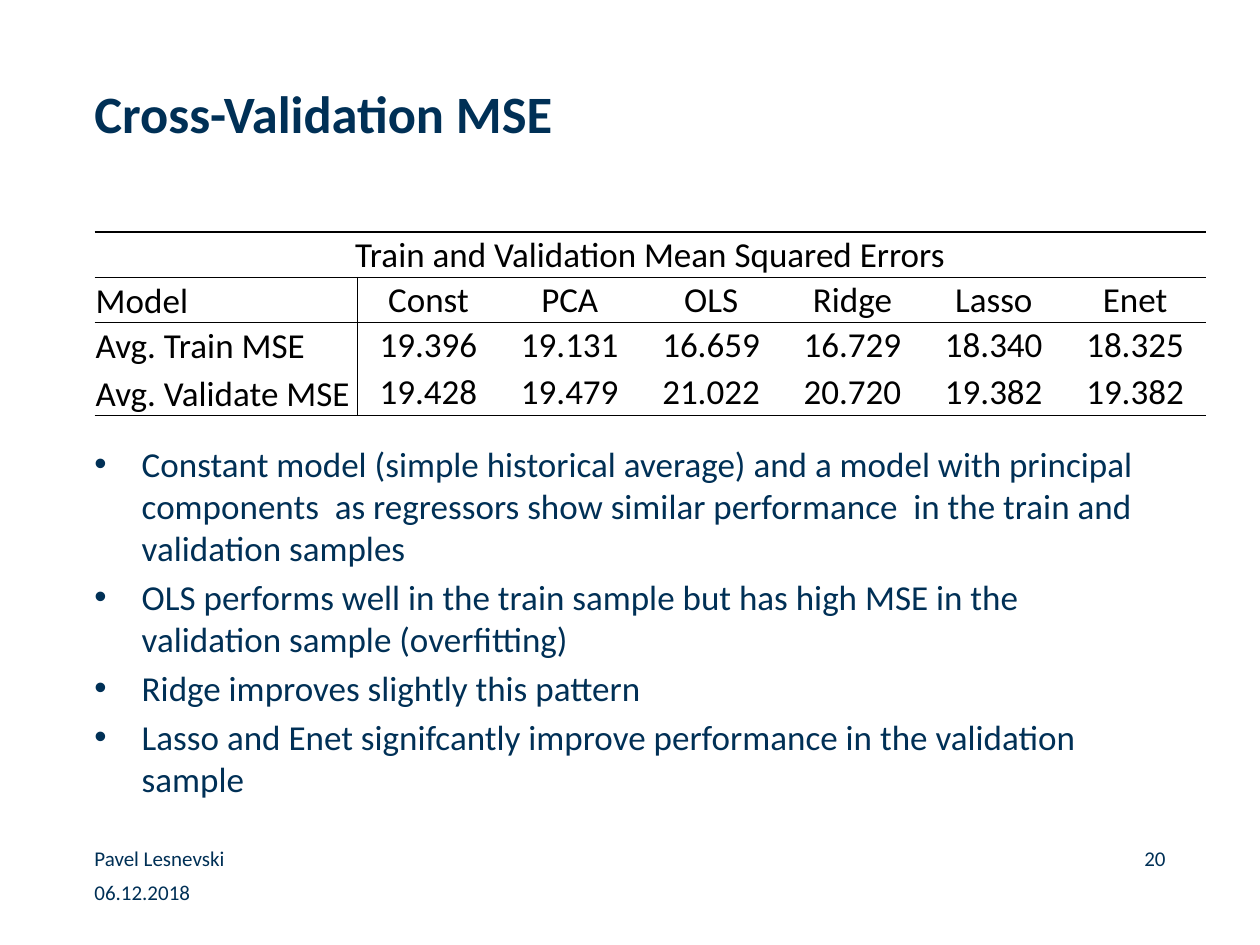
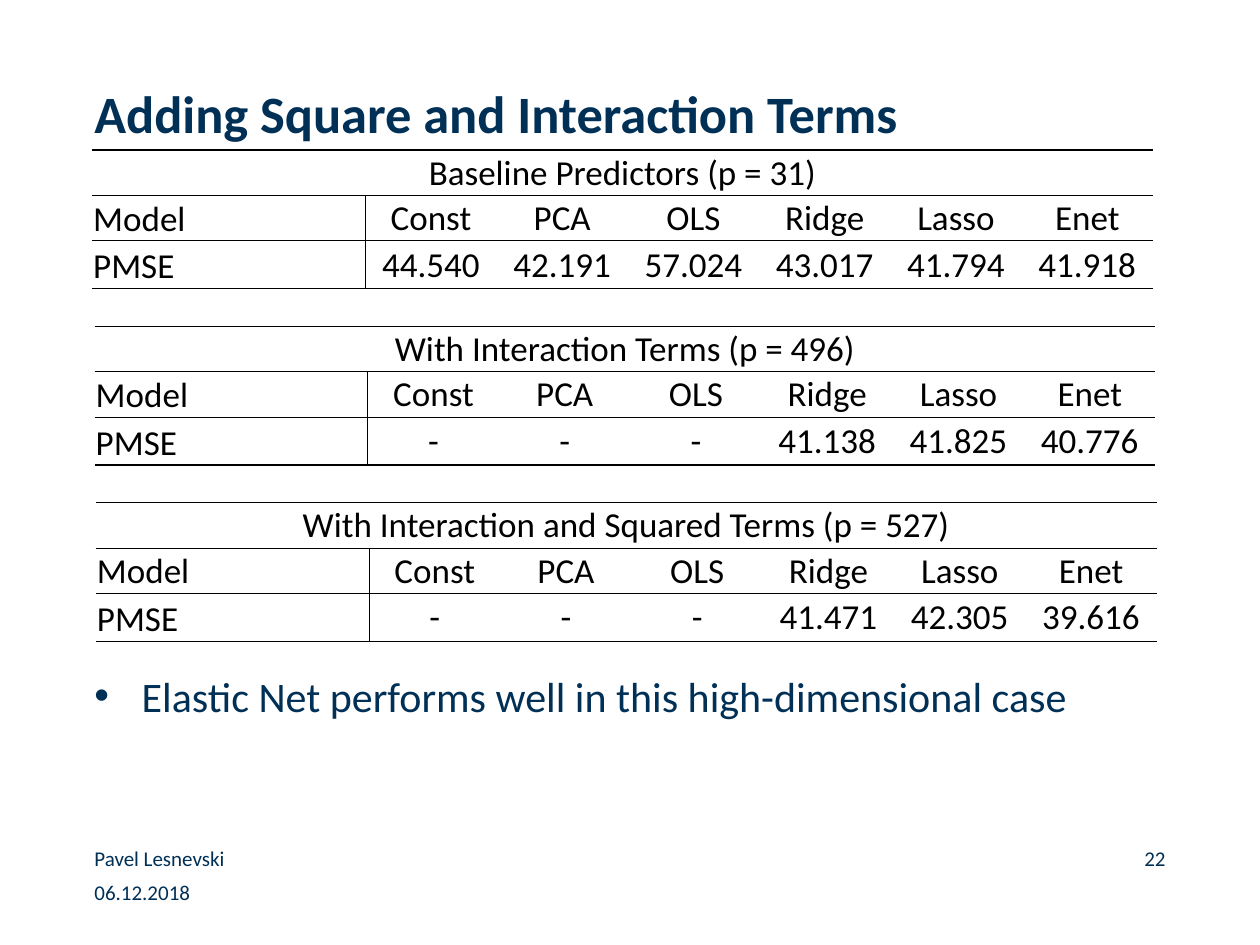
import dataclasses
import typing

import lxml.etree
import pptx
import pptx.dml.color
import pptx.enum.text
import pptx.oxml.ns
import pptx.util

ALIGN = pptx.enum.text.PP_ALIGN
ANCHOR = pptx.enum.text.MSO_ANCHOR
qualified = pptx.oxml.ns.qn


@dataclasses.dataclass(frozen=True)
class Theme:
    font: str = "Calibri"
    navy: str = "003056"
    black: str = "000000"
    title_size: int = 30
    table_size: int = 20
    footer_size: int = 12
    spacer_size: int = 8
    thick: float = 1
    thin: float = 0.5
    no_grid_style: str = "{2D5ABB26-0587-4C30-8999-92F81FD0307C}"


class Box(typing.NamedTuple):
    """Left, top, width and height in grid units."""
    left: float
    top: float
    width: float
    height: float


@dataclasses.dataclass(frozen=True)
class ErrorTable:
    caption: str
    records: dict[str, tuple[str, ...]]
    left: float
    top: float
    label_width: float
    model_width: float
    spacer_height: float = 2.2


@dataclasses.dataclass(frozen=True)
class BulletList:
    items: tuple[str, ...]
    box: Box
    size: int


@dataclasses.dataclass(frozen=True)
class Page:
    title: str
    number: int
    tables: tuple[ErrorTable, ...]
    bullets: BulletList


THEME = Theme()

# The grid: 100 columns by 75 rows of square units
COLUMNS, ROWS = 100, 75
UNIT = pptx.util.Inches(0.1)
MARGIN = 7.5
CONTENT_WIDTH = COLUMNS - 2 * MARGIN
TITLE_BOX = Box(MARGIN, 6.4, CONTENT_WIDTH, 12.5)
AUTHOR_BOX = Box(MARGIN, 67.1, 31.7, 2)
DATE_BOX = Box(MARGIN, 69.8, 23.3, 2)
NUMBER_BOX = Box(COLUMNS - MARGIN - 11.5, 67.1, 11.5, 2)
BULLET_INDENT = 3.75
CELL_INSET = 0.1
ROW_HEIGHT, LAST_ROW_HEIGHT = 3.6, 3.8

AUTHOR, DATE = "Pavel Lesnevski", "06.12.2018"
MODELS = ("Const", "PCA", "OLS", "Ridge", "Lasso", "Enet")

PAGES = (
    Page(
        "Cross-Validation MSE", 20,
        (ErrorTable(
            "Train and Validation Mean Squared Errors",
            {"Avg. Train MSE":
                ("19.396", "19.131", "16.659", "16.729", "18.340", "18.325"),
             "Avg. Validate MSE":
                ("19.428", "19.479", "21.022", "20.720", "19.382", "19.382")},
            MARGIN, 16.2, 20.9, 11.22),),
        BulletList(
            ("Constant model (simple historical average) and a model with principal "
             "components  as regressors show similar performance  in the train and "
             "validation samples",
             "OLS performs well in the train sample but has high MSE in the "
             "validation sample (overfitting)",
             "Ridge improves slightly this pattern",
             "Lasso and Enet signifcantly improve performance in the validation sample"),
            Box(MARGIN, 35.1, CONTENT_WIDTH, 31.2), 20),
    ),
    Page(
        "Adding Square and Interaction Terms", 22,
        (ErrorTable(
            "Baseline Predictors (p = 31)",
            {"PMSE": ("44.540", "42.191", "57.024", "43.017", "41.794", "41.918")},
            7.3, 9.7, 21.7, 10.42),
         ErrorTable(
            "With Interaction Terms (p = 496)",
            {"PMSE": ("-", "-", "-", "41.138", "41.825", "40.776")},
            7.5, 22.1, 21.7, 10.42, 3.8),
         ErrorTable(
            "With Interaction and Squared Terms (p = 527)",
            {"PMSE": ("-", "-", "-", "41.471", "42.305", "39.616")},
            7.6, 37.7, 21.7, 10.42)),
        BulletList(
            ("Elastic Net performs well in this high-dimensional case",),
            Box(MARGIN, 53.2, CONTENT_WIDTH, 7), 24),
    ),
)


def grid(units: float) -> int:
    return round(units * UNIT)


def apply(target: typing.Any, values: dict[str, typing.Any]) -> None:
    for name, value in values.items():
        setattr(target, name, value)


def write(paragraph, text: str, size: int, color: str, bold: bool = False,
          align=ALIGN.LEFT) -> None:
    paragraph.alignment = align
    run = paragraph.add_run()
    run.text = text
    apply(run.font, {"name": THEME.font, "size": pptx.util.Pt(size), "bold": bold})
    run.font.color.rgb = pptx.dml.color.RGBColor.from_string(color)


def add_frame(slide, box: Box):
    frame = slide.shapes.add_textbox(*map(grid, box)).text_frame
    apply(frame, {"word_wrap": True, "vertical_anchor": ANCHOR.TOP,
                  "margin_left": 0, "margin_right": 0,
                  "margin_top": 0, "margin_bottom": 0})
    return frame


def add_label(slide, box: Box, text: str, size: int, bold: bool = False,
              align=ALIGN.LEFT) -> None:
    write(add_frame(slide, box).paragraphs[0], text, size, THEME.navy, bold, align)


def add_bullets(slide, bullets: BulletList) -> None:
    frame = add_frame(slide, bullets.box)
    for index, item in enumerate(bullets.items):
        paragraph = frame.add_paragraph() if index else frame.paragraphs[0]
        write(paragraph, item, bullets.size, THEME.navy)
        paragraph.space_before = pptx.util.Pt(bullets.size * 0.2)
        properties = paragraph._p.get_or_add_pPr()
        properties.set("marL", str(grid(BULLET_INDENT)))
        properties.set("indent", str(-grid(BULLET_INDENT)))
        lxml.etree.SubElement(properties, qualified("a:buFont"), typeface="Arial")
        lxml.etree.SubElement(properties, qualified("a:buChar"), char="•")


def set_borders(cell, widths: dict[str, float]) -> None:
    """Draw the sides named L, R, T and B; a width of 0 means no line."""
    properties = cell._tc.get_or_add_tcPr()
    for index, side in enumerate("LRTB"):
        width = widths.get(side, 0)
        line = lxml.etree.Element(qualified(f"a:ln{side}"), w=str(pptx.util.Pt(width)))
        if width:
            fill = lxml.etree.SubElement(line, qualified("a:solidFill"))
            lxml.etree.SubElement(fill, qualified("a:srgbClr"), val=THEME.black)
        else:
            lxml.etree.SubElement(line, qualified("a:noFill"))
        properties.insert(index, line)


def add_error_table(slide, data: ErrorTable) -> None:
    blanks = ("",) * len(MODELS)
    content = [("", *blanks), (data.caption, *blanks), ("Model", *MODELS)]
    content += [(label, *values) for label, values in data.records.items()]
    last = len(content) - 1
    heights = [data.spacer_height, *[ROW_HEIGHT] * (last - 1), LAST_ROW_HEIGHT]
    widths = [data.label_width, *[data.model_width] * len(MODELS)]
    box = Box(data.left, data.top, sum(widths), sum(heights))
    table = slide.shapes.add_table(len(heights), len(widths), *map(grid, box)).table
    apply(table, {"first_row": False, "horz_banding": False})
    table._tbl.tblPr.find(qualified("a:tableStyleId")).text = THEME.no_grid_style

    for column, width in zip(table.columns, widths):
        column.width = grid(width)
    for row, height in zip(table.rows, heights):
        row.height = grid(height)
    table.cell(1, 0).merge(table.cell(1, len(MODELS)))

    # rules[n] is the line above row n
    rules = {1: THEME.thick, 2: THEME.thin, 3: THEME.thin, last + 1: THEME.thick}
    for row_index, texts in enumerate(content):
        for column_index, text in enumerate(texts):
            cell = table.cell(row_index, column_index)
            is_label = column_index == 0 and row_index > 1
            apply(cell, {"margin_left": grid(CELL_INSET), "margin_right": grid(CELL_INSET),
                         "margin_top": grid(CELL_INSET), "margin_bottom": 0,
                         "vertical_anchor": ANCHOR.BOTTOM if is_label else ANCHOR.MIDDLE})
            cell.fill.background()
            divider = THEME.thin if row_index > 1 else 0
            set_borders(cell, {"T": rules.get(row_index, 0),
                               "B": rules.get(row_index + 1, 0),
                               "R": divider if column_index == 0 else 0,
                               "L": divider if column_index == 1 else 0})
            paragraph = cell.text_frame.paragraphs[0]
            if text:
                write(paragraph, text, THEME.table_size, THEME.black,
                      align=ALIGN.LEFT if is_label else ALIGN.CENTER)
            else:
                lxml.etree.SubElement(paragraph._p, qualified("a:endParaRPr"),
                                      sz=str(THEME.spacer_size * 100))


def add_page(presentation, page: Page) -> None:
    slide = presentation.slides.add_slide(presentation.slide_layouts[6])
    # Title and footers
    add_label(slide, TITLE_BOX, page.title, THEME.title_size, bold=True)
    add_label(slide, DATE_BOX, DATE, THEME.footer_size)
    add_label(slide, AUTHOR_BOX, AUTHOR, THEME.footer_size)
    add_label(slide, NUMBER_BOX, str(page.number), THEME.footer_size, align=ALIGN.RIGHT)
    # Results and findings
    for table in page.tables:
        add_error_table(slide, table)
    add_bullets(slide, page.bullets)


def main() -> None:
    presentation = pptx.Presentation()
    apply(presentation, {"slide_width": grid(COLUMNS), "slide_height": grid(ROWS)})
    for page in PAGES:
        add_page(presentation, page)
    presentation.save("out.pptx")


if __name__ == "__main__":
    main()
